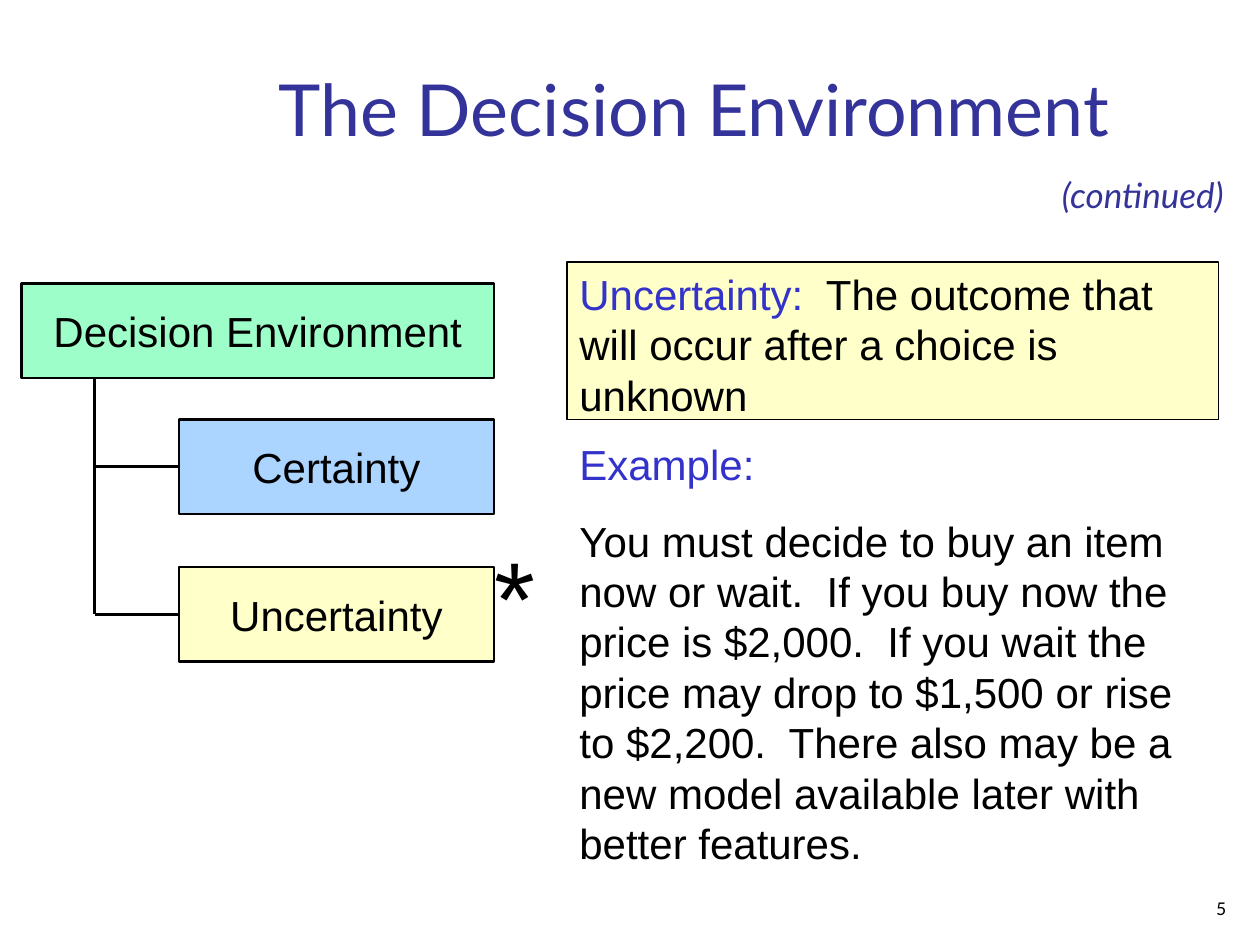
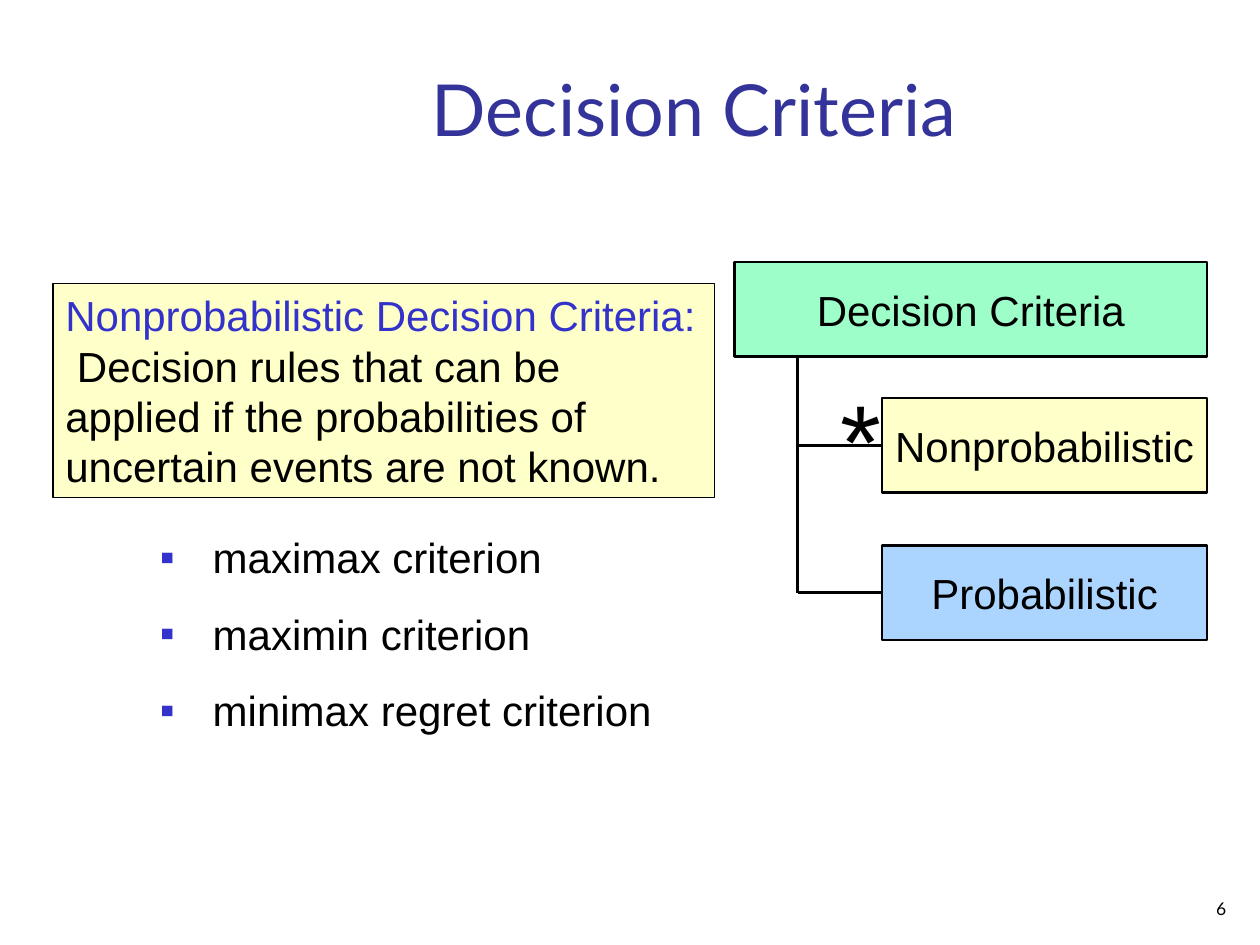
import pptx
import pptx.dml.color
import pptx.enum.shapes
import pptx.enum.text
import pptx.oxml.ns
import pptx.util
from lxml import etree

Inches = pptx.util.Inches
Pt = pptx.util.Pt
Rgb = pptx.dml.color.RGBColor.from_string
Align = pptx.enum.text.PP_ALIGN
Anchor = pptx.enum.text.MSO_ANCHOR
qn = pptx.oxml.ns.qn

theme = {
    "navy": "333399", "blue": "3333CC", "ink": "000000",
    "green": "9EFEC9", "sky": "ABD5FF", "cream": "FFFFC9",
    "head": "Lato", "body": "Arial",
    "title": 41, "text": 24, "star": 60, "note": 20, "page": 10,
}


def write(shape, lines, size="text", font="body", align=Align.LEFT,
          anchor=Anchor.TOP, wrap=True):
    frame = shape.text_frame
    frame.auto_size = pptx.enum.text.MSO_AUTO_SIZE.NONE
    frame.word_wrap = wrap
    frame.vertical_anchor = anchor
    frame.text = "\n" * (len(lines) - 1)
    for para, line in zip(frame.paragraphs, lines):
        para.alignment = align
        para.line_spacing = Pt(round(theme[size] * 1.2, 1))
        para.space_before = Pt(15 if line is not lines[0] else 0)
        for text, color in line:
            run = para.add_run()
            run.text = text
            run.font.name = theme[font]
            run.font.size = Pt(theme[size])
            run.font.color.rgb = Rgb(theme[color])


def panel(slide, box, fill, width):
    shape = slide.shapes.add_shape(
        pptx.enum.shapes.MSO_SHAPE.RECTANGLE, *map(Inches, box))
    shape.shadow.inherit = False
    shape.fill.solid()
    shape.fill.fore_color.rgb = Rgb(theme[fill])
    shape.line.color.rgb = Rgb(theme["ink"])
    shape.line.width = Pt(width)
    return shape


deck = pptx.Presentation()
deck.slide_width = Inches(10)
deck.slide_height = Inches(7.5)

pages = [
    {
        "title": "The Decision Environment", "number": "5",
        "root": ("Decision Environment", 0.17, 2.25),
        "nodes": [("Certainty", "sky"), ("Uncertainty", "cream")],
        "left": 1.42, "width": 2.5, "spine": 0.75, "star": (3.75, 4.17),
        "box": (4.5, 2.08, 5.17, 1.25),
        "term": "Uncertainty:",
        "gloss": "  The outcome that will occur after a choice is unknown",
    },
    {
        "title": "Decision Criteria", "number": "6",
        "root": ("Decision Criteria", 5.83, 2.08),
        "nodes": [("Nonprobabilistic", "cream"), ("Probabilistic", "sky")],
        "left": 7, "width": 2.58, "spine": 6.33, "star": (6.5, 2.92),
        "box": (0.42, 2.25, 5.25, 1.7),
        "term": "Nonprobabilistic Decision Criteria:",
        "gloss": "  Decision rules that can be applied if the probabilities"
                 " of uncertain events are not known.",
    },
]

slides = []
for page in pages:
    slide = deck.slides.add_slide(deck.slide_layouts[5])
    slides.append(slide)
    title = slide.shapes.title
    title.left, title.top = Inches(1.25), Inches(0.42)
    title.width, title.height = Inches(8.52), Inches(0.83)
    write(title, [[(page["title"], "navy")]], "title", "head",
          Align.CENTER, Anchor.BOTTOM)

    name, left, top = page["root"]
    root = panel(slide, (left, top, 3.75, 0.75), "green", 1.5)
    write(root, [[(name, "ink")]], align=Align.CENTER,
          anchor=Anchor.MIDDLE, wrap=False)

    spine = Inches(page["spine"])
    links = []
    for row, (name, fill) in enumerate(page["nodes"]):
        place = (page["left"], top + 1.08 + row * 1.17, page["width"], 0.75)
        node = panel(slide, place, fill, 1.5)
        write(node, [[(name, "ink")]], align=Align.CENTER,
              anchor=Anchor.MIDDLE, wrap=False)
        middle = node.top + node.height // 2
        link = slide.shapes.add_connector(
            pptx.enum.shapes.MSO_CONNECTOR.STRAIGHT,
            spine, middle, node.left, middle)
        link.end_connect(node, 1)
        links.append(link)
    links.append(slide.shapes.add_connector(
        pptx.enum.shapes.MSO_CONNECTOR.STRAIGHT,
        spine, middle, spine, root.top + root.height))
    for link in links:
        link.line.color.rgb = Rgb(theme["ink"])
        link.line.width = Pt(1.5)
        etree.SubElement(link._element.spPr, qn("a:effectLst"))

    box = panel(slide, page["box"], "cream", 0.75)
    write(box, [[(page["term"], "blue"), (page["gloss"], "ink")]])

    star = slide.shapes.add_textbox(
        *map(Inches, page["star"]), Inches(0.67), Inches(1.1))
    write(star, [[("*", "ink")]], "star", align=Align.CENTER)

    foot = slide.shapes.add_textbox(
        Inches(7.75), Inches(7), Inches(2.08), Inches(0.34))
    write(foot, [[(page["number"], "ink")]], "page", "head",
          Align.RIGHT, Anchor.BOTTOM)

first, second = slides

note = first.shapes.add_textbox(
    Inches(8.33), Inches(1.33), Inches(1.67), Inches(0.44))
write(note, [[("(continued)", "navy")]], "note", "head")
note.text_frame.paragraphs[0].runs[0].font.italic = True

story = first.shapes.add_textbox(
    Inches(4.5), Inches(3.43), Inches(5.25), Inches(3.51))
write(story, [
    [("Example:", "blue")],
    [("You must decide to buy an item now or wait.  If you buy now the "
      "price is $2,000.  If you wait the price may drop to $1,500 or rise "
      "to $2,200.  There also may be a new model available later with "
      "better features.", "ink")],
])

rules = second.shapes.add_textbox(
    Inches(1.17), Inches(4.17), Inches(4.17), Inches(1.72))
write(rules, [[(rule + " criterion", "ink")]
              for rule in ("maximax", "maximin", "minimax regret")])
for para in rules.text_frame.paragraphs:
    props = para._p.get_or_add_pPr()
    props.set("marL", str(Inches(0.42)))
    props.set("indent", str(Inches(-0.42)))
    tint = etree.SubElement(props, qn("a:buClr"))
    etree.SubElement(tint, qn("a:srgbClr"), val=theme["blue"])
    etree.SubElement(props, qn("a:buFont"), typeface=theme["body"])
    etree.SubElement(props, qn("a:buChar"), char="▪")

deck.save("out.pptx")
